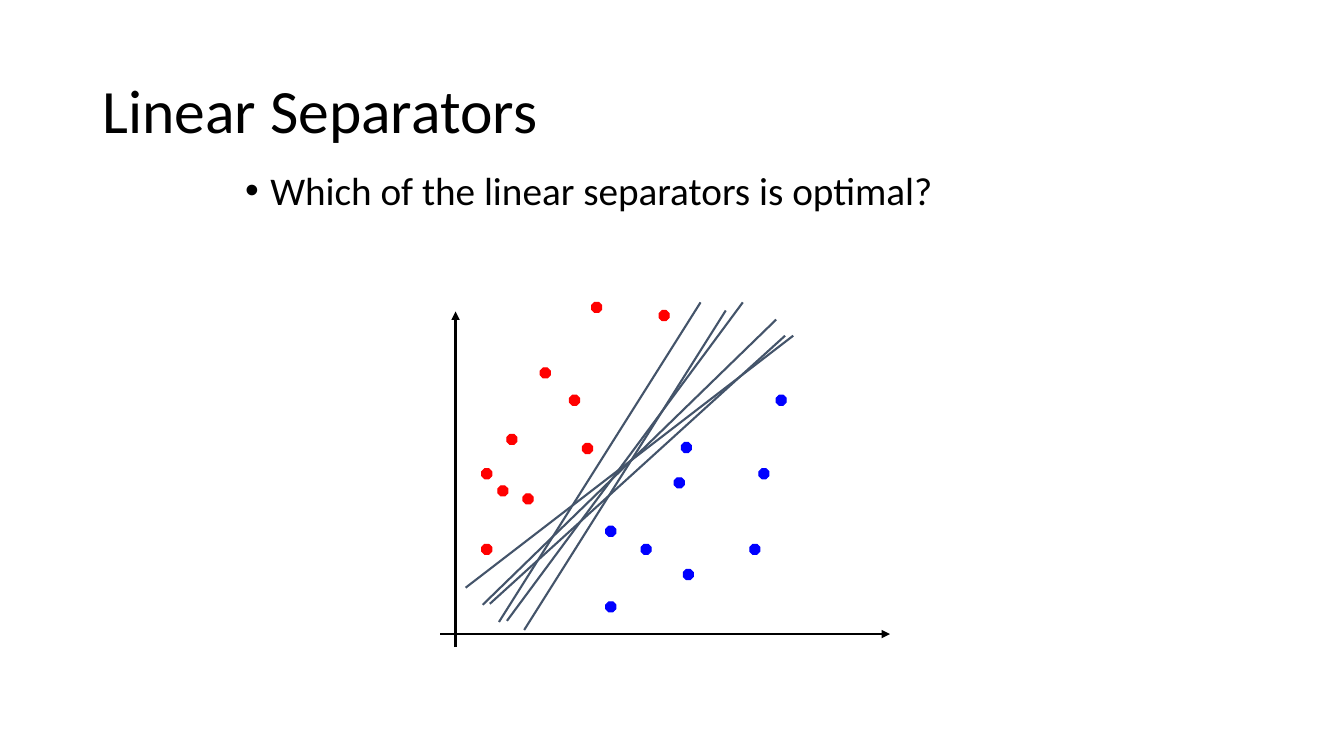
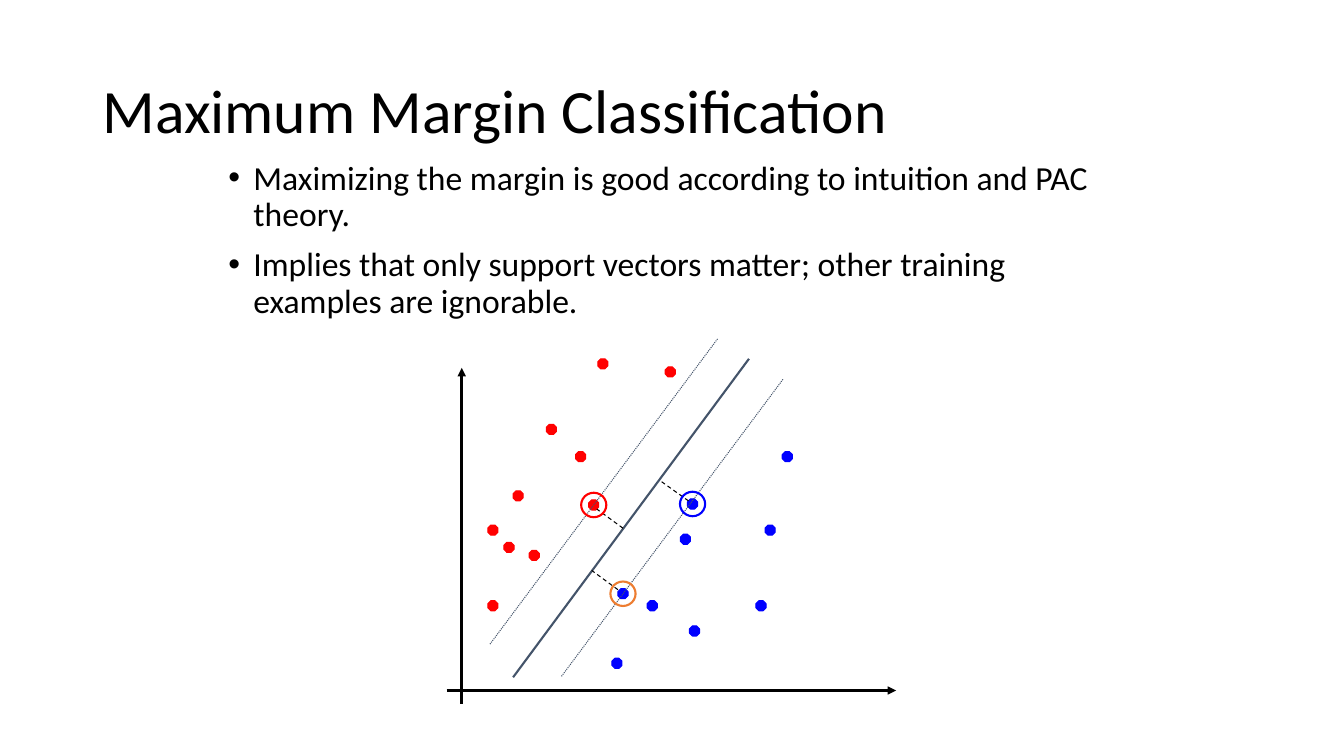
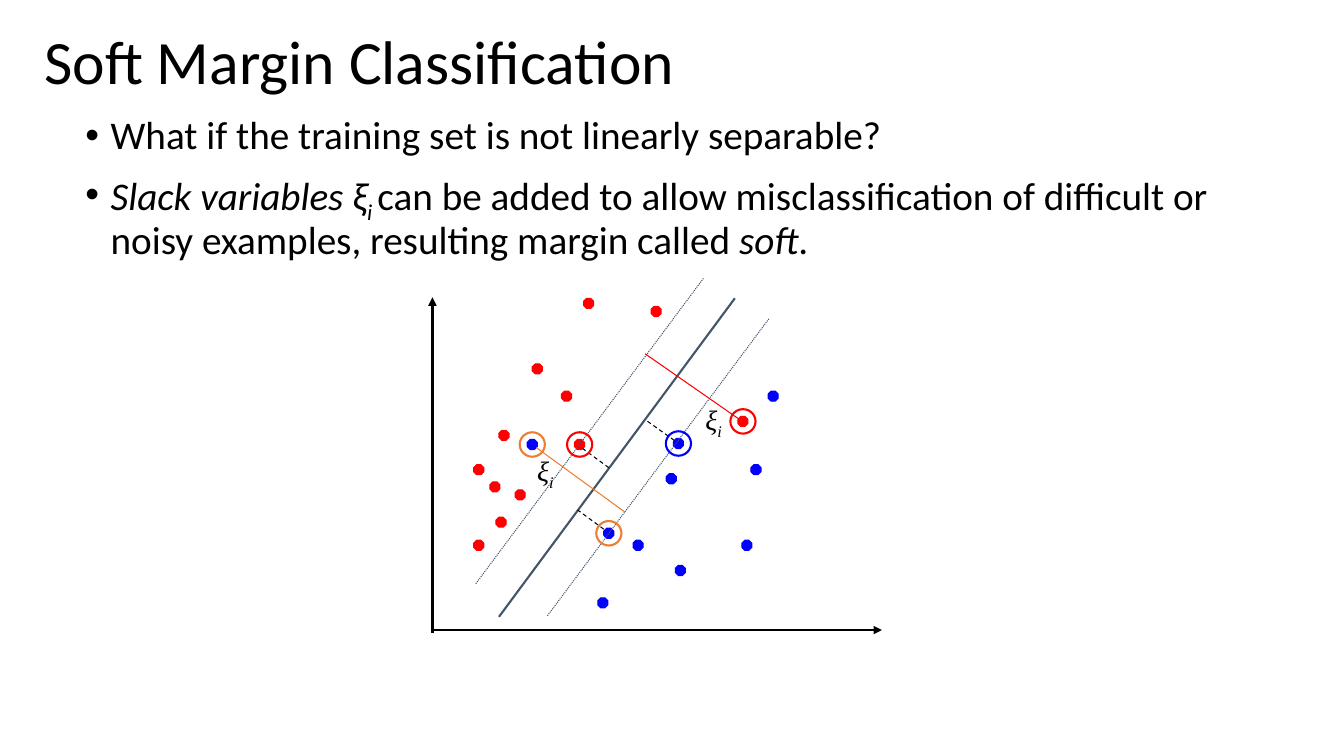
from lxml import etree
from pptx import Presentation
from pptx.dml.color import RGBColor
from pptx.enum import dml, shapes, text
from pptx.oxml import ns
from pptx.util import Pt

BLACK = RGBColor(0x00, 0x00, 0x00)
RED = RGBColor(0xFF, 0x00, 0x00)
BLUE = RGBColor(0x00, 0x00, 0xFF)
ORANGE = RGBColor(0xED, 0x7D, 0x31)
SLATE = RGBColor(0x44, 0x54, 0x6A)

BODY_FONT, SYMBOL_FONT = "Calibri", "Times New Roman"
TITLE_BOX = (66, 28.8, 828, 104.4)
DOT_SIZE = (7.2, 7.2)
RING_SIZE = (18, 17.5)

# Plot data: points to the right of and above the left end of the x axis
RED_CLASS = [(95.8, 167), (51.1, 139), (62.6, 96.5), (33.1, 60.5), (74.9, 186.5),
             (33.1, 114.5), (44.6, 102.2), (105.1, 132.5), (111.6, 233.3), (159.8, 227.5)]
BLUE_CLASS = [(175.7, 133.2), (146.9, 60.5), (224.6, 60.5), (121.7, 19.4),
              (170.6, 108), (177.1, 42.5), (231.1, 114.5), (243.4, 167)]
BEST_SEPARATOR = ((47.5, 9.4), (216, 236.9))
OTHER_SEPARATORS = [((35.3, 21.6), (246.2, 213.1)), ((18, 33.1), (252, 213.1)),
                    ((59.8, 2.9), (203.8, 231.1)), ((41.8, 8.6), (185.8, 236.9)),
                    ((30.2, 20.9), (239.8, 224.6))]
MARGINS = [((82.1, 10.1), (240.5, 222.5)), ((31, 33.1), (193.7, 251.3))]
LOOSE_BLUE, SUPPORT_BLUE = (121.7, 73.4), (126, 69.1)
SUPPORT_VECTORS = [((105.1, 132.5), RED), (SUPPORT_BLUE, ORANGE), ((175.7, 133.2), BLUE)]
DISTANCES = [((172.8, 135.4), (152.6, 149.8)), ((122.4, 72), (103.7, 85.7)),
             ((126, 115.9), (107.3, 129.6))]
NOISY_RED, NOISY_BLUE, EXTRA_RED = (221.8, 149), (71.3, 132.5), (49, 77)
SLACKS = [((218.2, 151.2), (151.9, 197.3), RED), ((74.2, 130.3), (137.5, 84.2), ORANGE)]


def style_font(font, size, name=BODY_FONT):
    font.size, font.name = Pt(size), name
    font.color.rgb = BLACK


def add_runs(paragraph, runs):
    """Each run is (words, style); style holds 'i' for italic, '_' for subscript."""
    for words, style in runs:
        run = paragraph.add_run()
        run.text = words
        if "i" in style:
            run.font.italic = True
        if "_" in style:
            run.font._element.set("baseline", "-25000")


def add_text_box(slide, box):
    frame = slide.shapes.add_textbox(*map(Pt, box)).text_frame
    frame.word_wrap = True
    return frame


def add_titled_slide(prs, heading, box=TITLE_BOX):
    slide = prs.slides.add_slide(prs.slide_layouts[5])
    title = slide.shapes.title
    title.left, title.top, title.width, title.height = map(Pt, box)
    title.text_frame.text = heading
    title.text_frame.vertical_anchor = text.MSO_ANCHOR.MIDDLE
    paragraph = title.text_frame.paragraphs[0]
    paragraph.alignment = text.PP_ALIGN.LEFT
    paragraph.line_spacing = 0.9
    style_font(paragraph.font, 44)
    return slide


def add_bullets(slide, box, size, items):
    frame = add_text_box(slide, box)
    for index, runs in enumerate(items):
        paragraph = frame.add_paragraph() if index else frame.paragraphs[0]
        paragraph.line_spacing = 0.9
        paragraph.space_before = Pt(10)
        properties = paragraph._p.get_or_add_pPr()
        properties.set("marL", str(Pt(18)))
        properties.set("indent", str(Pt(-18)))
        etree.SubElement(properties, ns.qn("a:buFont"), typeface="Arial")
        etree.SubElement(properties, ns.qn("a:buChar"), char="•")
        style_font(paragraph.font, size)
        add_runs(paragraph, runs)


def add_slack_label(slide, left, top):
    paragraph = add_text_box(slide, (left, top, 55.4, 31)).paragraphs[0]
    style_font(paragraph.font, 20, SYMBOL_FONT)
    add_runs(paragraph, [("ξ", "i"), ("i", "i_")])


class Plot:
    """Draws on a slide in plot coordinates, with y pointing up."""

    def __init__(self, slide, left, base):
        self.shapes, self.left, self.base = slide.shapes, left, base

    def place(self, point):
        return Pt(self.left + point[0]), Pt(self.base - point[1])

    def line(self, start, end, color=SLATE, width=1.5, dash=None, arrow=False):
        line = self.shapes.add_connector(
            shapes.MSO_CONNECTOR.STRAIGHT, *self.place(start), *self.place(end))
        line.line.color.rgb, line.line.width = color, Pt(width)
        if dash is not None:
            line.line.dash_style = dash
        if arrow:
            etree.SubElement(line.line._get_or_add_ln(), ns.qn("a:tailEnd"), type="triangle")
        etree.SubElement(line._element.spPr, ns.qn("a:effectLst"))

    def marker(self, kind, center, size, color, width):
        x, y = self.place(center)
        width_pt, height_pt = map(Pt, size)
        marker = self.shapes.add_shape(
            kind, x - width_pt // 2, y - height_pt // 2, width_pt, height_pt)
        marker.shadow.inherit = False
        marker.line.color.rgb, marker.line.width = color, Pt(width)
        return marker

    def dots(self, centers, color):
        for center in centers:
            dot = self.marker(shapes.MSO_SHAPE.OCTAGON, center, DOT_SIZE, color, 0.75)
            dot.fill.solid()
            dot.fill.fore_color.rgb = color

    def rings(self, centers_and_colors):
        for center, color in centers_and_colors:
            self.marker(shapes.MSO_SHAPE.OVAL, center, RING_SIZE, color, 1.5).fill.background()

    def scatter(self, loose_blue, y_axis=(10.8, -9.4)):
        """Axes and both classes; y_axis is the lower end of the vertical axis."""
        x, bottom = y_axis
        self.line(y_axis, (x, bottom + 239.8), BLACK, 2, arrow=True)
        self.line((0, 0), (321.1, 0), BLACK, 2, arrow=True)
        self.dots(RED_CLASS, RED)
        self.dots(BLUE_CLASS + [loose_blue], BLUE)

    def margin(self):
        self.line(*BEST_SEPARATOR)
        for ends in DISTANCES:
            self.line(*ends, BLACK, 0.75, dml.MSO_LINE.DASH)
        for ends in MARGINS:
            self.line(*ends, SLATE, 0.75, dml.MSO_LINE.ROUND_DOT)
        self.rings(SUPPORT_VECTORS)


def build_separators(prs):
    slide = add_titled_slide(prs, "Linear Separators")
    add_bullets(slide, (168, 118.8, 648, 396), 28,
                [[("Which of the linear separators is optimal?", "")]])
    plot = Plot(slide, 314.6, 452.9)
    plot.scatter(LOOSE_BLUE)
    for ends in [BEST_SEPARATOR] + OTHER_SEPARATORS:
        plot.line(*ends)


def build_maximum_margin(prs):
    slide = add_titled_slide(prs, "Maximum Margin Classification")
    add_bullets(slide, (156, 111.6, 648, 396), 24, [
        [("Maximizing the margin is good according to intuition and PAC theory.", "")],
        [("Implies that only support vectors matter; other training examples are ignorable.", "")],
    ])
    plot = Plot(slide, 319, 493.2)
    plot.scatter(SUPPORT_BLUE)
    plot.margin()


def build_soft_margin(prs):
    slide = add_titled_slide(prs, "Soft Margin Classification", (24.5, 16.6, 828, 59))
    add_bullets(slide, (54, 79.2, 828, 342.7), 28, [
        [("What if the training set is not linearly separable?", "")],
        [("Slack variables ξ", "i"), ("i ", "i_"),
         ("can be added to allow misclassification of difficult or noisy examples, "
          "resulting margin called ", ""), ("soft", "i"), (".", "")],
    ])
    plot = Plot(slide, 308.9, 450)
    plot.scatter(SUPPORT_BLUE, y_axis=(0, -2.2))
    plot.dots([NOISY_BLUE], BLUE)
    plot.dots([EXTRA_RED, NOISY_RED], RED)
    plot.margin()
    # Misclassified examples and their slack
    for start, end, color in SLACKS:
        plot.line(start, end, color, 0.75)
    add_slack_label(slide, 496.8, 283.7)
    add_slack_label(slide, 376.6, 320.4)
    plot.rings([(NOISY_RED, RED), (NOISY_BLUE, ORANGE)])


def main():
    prs = Presentation()
    prs.slide_width, prs.slide_height = Pt(960), Pt(540)
    build_separators(prs)
    build_maximum_margin(prs)
    build_soft_margin(prs)
    prs.save("out.pptx")


if __name__ == "__main__":
    main()
